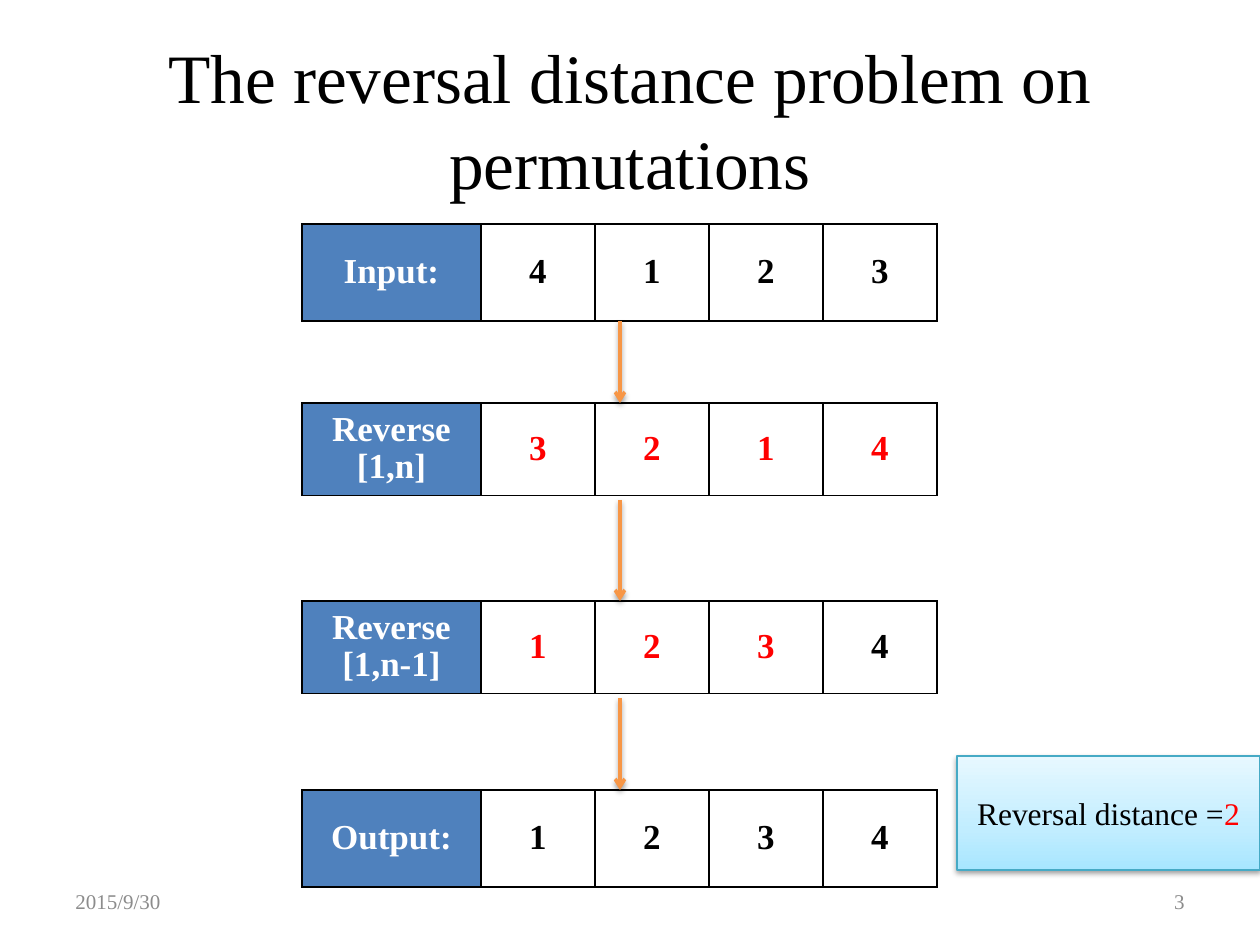
from dataclasses import dataclass

import pptx
import pptx.dml.color
import pptx.enum.shapes
import pptx.enum.text
import pptx.oxml
import pptx.oxml.ns
import pptx.util

RGBColor = pptx.dml.color.RGBColor
ALIGN = pptx.enum.text.PP_ALIGN
MIDDLE = pptx.enum.text.MSO_ANCHOR.MIDDLE

BLACK = RGBColor(0x00, 0x00, 0x00)
WHITE = RGBColor(0xFF, 0xFF, 0xFF)
RED = RGBColor(0xFF, 0x00, 0x00)
GRAY = RGBColor(0x8C, 0x8C, 0x8C)
BLUE = RGBColor(0x4F, 0x81, 0xBD)
ORANGE = RGBColor(0xF7, 0x96, 0x46)
TEAL = RGBColor(0x46, 0xAA, 0xC5)
GRADIENT = ((0, "A7E6FF"), (35, "C1EDFF"), (100, "E7F8FF"))

FONT = "Times New Roman"
EMU_PER_PX = 914400 / 126
NAMESPACE = pptx.oxml.ns.nsdecls("a")

TABLE_LEFT = 302
LABEL_WIDTH = 179
NUMBER_WIDTH = 114
ARROW_X = 620


@dataclass
class Step:
    label: str
    numbers: str
    reversed_count: int
    top: int
    height: int


@dataclass
class Arrow:
    top: int
    bottom: int


STEPS = [
    Step("Input:", "4123", 0, 224, 97),
    Step("Reverse\n[1,n]", "3214", 4, 403, 90),
    Step("Reverse\n[1,n-1]", "1234", 3, 601, 90),
    Step("Output:", "1234", 0, 790, 97),
]
ARROWS = [Arrow(321, 403), Arrow(500, 601), Arrow(698, 790)]


def px(*lengths: int) -> list[int]:
    return [round(length * EMU_PER_PX) for length in lengths]


def write_text(frame, text, *, size, color=BLACK, bold=False,
               align=ALIGN.CENTER, spacing=None, accent="", accent_color=RED):
    """Write one paragraph per line; accent is a run closing the last one."""
    frame.word_wrap = True
    frame.vertical_anchor = MIDDLE
    for index, line in enumerate(text.split("\n")):
        paragraph = frame.paragraphs[0] if index == 0 else frame.add_paragraph()
        paragraph.alignment = align
        if spacing:
            paragraph.line_spacing = spacing
        paragraph.font.size = pptx.util.Pt(size)
        paragraph.add_run().text = line
    if accent:
        paragraph.add_run().text = accent
    for paragraph in frame.paragraphs:
        for run in paragraph.runs:
            run.font.name = FONT
            run.font.size = pptx.util.Pt(size)
            run.font.bold = bold
            run.font.color.rgb = color
    if accent:
        run.font.color.rgb = accent_color


def add_text(slide, text: str, left: int, top: int, width: int, height: int, **style):
    box = slide.shapes.add_textbox(*px(left, top, width, height))
    write_text(box.text_frame, text, **style)


def add_shadow(shape) -> None:
    shape._element.spPr.append(pptx.oxml.parse_xml(
        f'<a:effectLst {NAMESPACE}><a:outerShdw blurRad="40000" dist="20000" '
        'dir="5400000" rotWithShape="0"><a:srgbClr val="000000">'
        '<a:alpha val="38000"/></a:srgbClr></a:outerShdw></a:effectLst>'))


def format_cell(cell, fill: RGBColor) -> None:
    cell.fill.solid()
    cell.fill.fore_color.rgb = fill
    cell.vertical_anchor = MIDDLE
    properties = cell._tc.get_or_add_tcPr()
    for position, side in enumerate("LRTB"):
        properties.insert(position, pptx.oxml.parse_xml(
            f'<a:ln{side} {NAMESPACE} w="12700"><a:solidFill>'
            f'<a:srgbClr val="{BLACK}"/></a:solidFill></a:ln{side}>'))


def add_step(slide, step: Step) -> None:
    widths = [LABEL_WIDTH] + [NUMBER_WIDTH] * len(step.numbers)
    table = slide.shapes.add_table(
        1, len(widths), *px(TABLE_LEFT, step.top, sum(widths), step.height)).table
    table.first_row = table.horz_banding = False
    for column, width in zip(table.columns, px(*widths)):
        column.width = width
    for index, text in enumerate([step.label, *step.numbers]):
        cell = table.cell(0, index)
        if index == 0:
            fill, color = BLUE, WHITE
        else:
            fill, color = WHITE, RED if index <= step.reversed_count else BLACK
        write_text(cell.text_frame, text, size=20, color=color, bold=True, spacing=0.95)
        format_cell(cell, fill)


def add_arrow(slide, arrow: Arrow) -> None:
    connector = slide.shapes.add_connector(
        pptx.enum.shapes.MSO_CONNECTOR.STRAIGHT,
        *px(ARROW_X, arrow.top, ARROW_X, arrow.bottom))
    connector.line.color.rgb = ORANGE
    connector.line.width = pptx.util.Pt(2)
    connector.line._get_or_add_ln().append(
        pptx.oxml.parse_xml(f'<a:tailEnd {NAMESPACE} type="arrow"/>'))
    add_shadow(connector)


def add_result(slide) -> None:
    shape = slide.shapes.add_shape(
        pptx.enum.shapes.MSO_SHAPE.RECTANGLE, *px(957, 756, 303, 114))
    stops = "".join(f'<a:gs pos="{position * 1000}"><a:srgbClr val="{color}"/></a:gs>'
                    for position, color in GRADIENT)
    shape._element.spPr.append(pptx.oxml.parse_xml(
        f'<a:gradFill {NAMESPACE} rotWithShape="1"><a:gsLst>{stops}</a:gsLst>'
        '<a:lin ang="16200000" scaled="0"/></a:gradFill>'))
    shape.line.color.rgb = TEAL
    shape.line.width = pptx.util.Pt(0.75)
    add_shadow(shape)
    write_text(shape.text_frame, "Reversal distance =", size=18, accent="2")


def main() -> None:
    presentation = pptx.Presentation()
    presentation.slide_width, presentation.slide_height = px(1260, 945)
    slide = presentation.slides.add_slide(presentation.slide_layouts[6])

    # Title
    add_text(slide, "The reversal distance problem on permutations",
             63, 38, 1134, 158, size=39.6, spacing=1.04)

    # Permutation after each step, joined by arrows
    for step in STEPS:
        add_step(slide, step)
    for arrow in ARROWS:
        add_arrow(slide, arrow)

    # Result and footer
    add_result(slide)
    add_text(slide, "2015/9/30", 63, 876, 294, 50,
             size=12, color=GRAY, align=ALIGN.LEFT)
    add_text(slide, "3", 903, 876, 294, 50,
             size=12, color=GRAY, align=ALIGN.RIGHT)

    presentation.save("out.pptx")


if __name__ == "__main__":
    main()
